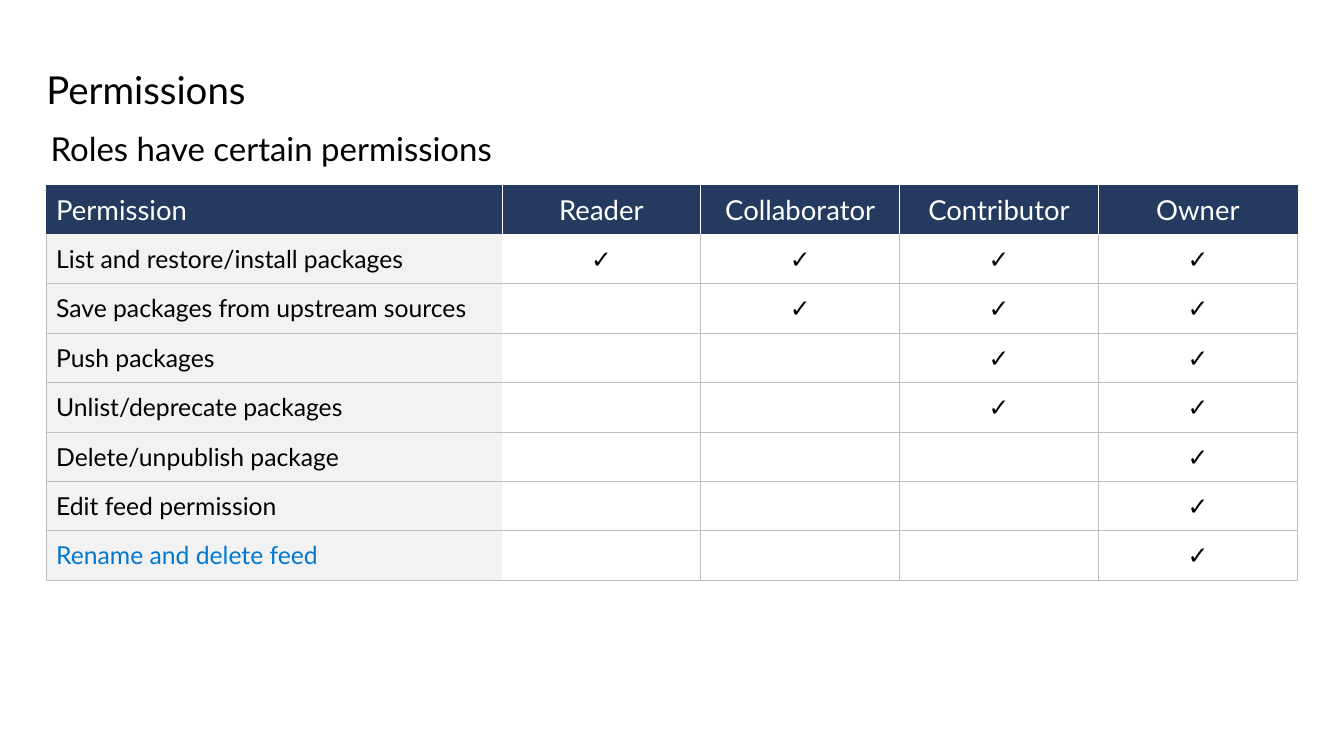
import pptx
import pptx.util
import pptx.dml.color
import pptx.enum.text
from lxml import etree
from pptx.oxml.ns import qn

Cm = pptx.util.Cm
Pt = pptx.util.Pt
Align = pptx.enum.text.PP_ALIGN
Anchor = pptx.enum.text.MSO_ANCHOR
HUES = {
    "black": "000000",
    "white": "FFFFFF",
    "navy": "243A5E",
    "grey": "BFBFBF",
    "pale": "F2F2F2",
    "blue": "0078D3",
}
ROLES = ["Reader", "Collaborator", "Contributor", "Owner"]
RIGHTS = [
    ("List and restore/install packages", 0),
    ("Save packages from upstream sources", 1),
    ("Push packages", 2),
    ("Unlist/deprecate packages", 2),
    ("Delete/unpublish package", 3),
    ("Edit feed permission", 3),
    ("Rename and delete feed", 3),
]


def style(frame, size, hue, align):
    for para in frame.paragraphs:
        para.alignment = align
        for run in para.runs:
            run.font.name = "Lato"
            run.font.size = Pt(size)
            run.font.color.rgb = pptx.dml.color.RGBColor.from_string(HUES[hue])


def border(cell, side, hue):
    props = cell._tc.get_or_add_tcPr()
    line = etree.SubElement(props, qn("a:ln" + side), w=str(Pt(0.5)))
    if hue is None:
        etree.SubElement(line, qn("a:noFill"))
    else:
        fill = etree.SubElement(line, qn("a:solidFill"))
        etree.SubElement(fill, qn("a:srgbClr"), val=HUES[hue])


deck = pptx.Presentation()
deck.slide_width = Cm(34.54)
deck.slide_height = Cm(19.43)
slide = deck.slides.add_slide(deck.slide_layouts[5])

title = slide.shapes.title
title.left, title.top, title.width, title.height = Cm(1.19), Cm(1.75), Cm(32.13), Cm(1.14)
title.text_frame.text = "Permissions"
title.text_frame.paragraphs[0].line_spacing = Pt(32)
lead = slide.shapes.add_textbox(Cm(1.3), Cm(3.3), Cm(32.03), Cm(1.02))
lead.text_frame.text = "Roles have certain permissions"
for shape, size in [(title, 28), (lead, 24)]:
    frame = shape.text_frame
    frame.margin_left = frame.margin_right = frame.margin_top = frame.margin_bottom = 0
    frame.word_wrap = True
    frame.auto_size = pptx.enum.text.MSO_AUTO_SIZE.SHAPE_TO_FIT_TEXT
    frame.vertical_anchor = Anchor.TOP
    style(frame, size, "black", Align.LEFT)

rows = [["Permission"] + ROLES]
for name, first in RIGHTS:
    rows.append([name] + ["✓" if i >= first else "" for i in range(len(ROLES))])

grid = slide.shapes.add_table(len(rows), 5, Cm(1.19), Cm(4.75), Cm(32.13), Cm(10.16)).table
grid.first_row = False
grid.horz_banding = False
for c, col in enumerate(grid.columns):
    col.width = Cm(5.11 if c else 11.71)
for row in grid.rows:
    row.height = Cm(1.27)

for r, texts in enumerate(rows):
    for c, text in enumerate(texts):
        cell = grid.cell(r, c)
        if r == 0:
            left = "white" if c else "navy"
            right = "white" if c < len(ROLES) else "navy"
            top = base = None
            fill, ink = "navy", "white"
        else:
            left = None if c == 1 else "grey"
            right = "grey" if c else None
            top = "grey" if r > 1 else None
            base = "grey"
            fill = "white" if c else "pale"
            ink = "blue" if r == len(RIGHTS) and c == 0 else "black"
        for side, hue in zip("LRTB", [left, right, top, base]):
            border(cell, side, hue)
        cell.fill.solid()
        cell.fill.fore_color.rgb = pptx.dml.color.RGBColor.from_string(HUES[fill])
        cell.vertical_anchor = Anchor.MIDDLE
        cell.text_frame.text = text
        style(cell.text_frame, 18 if r else 20, ink, Align.CENTER if c else Align.LEFT)

deck.save("out.pptx")
